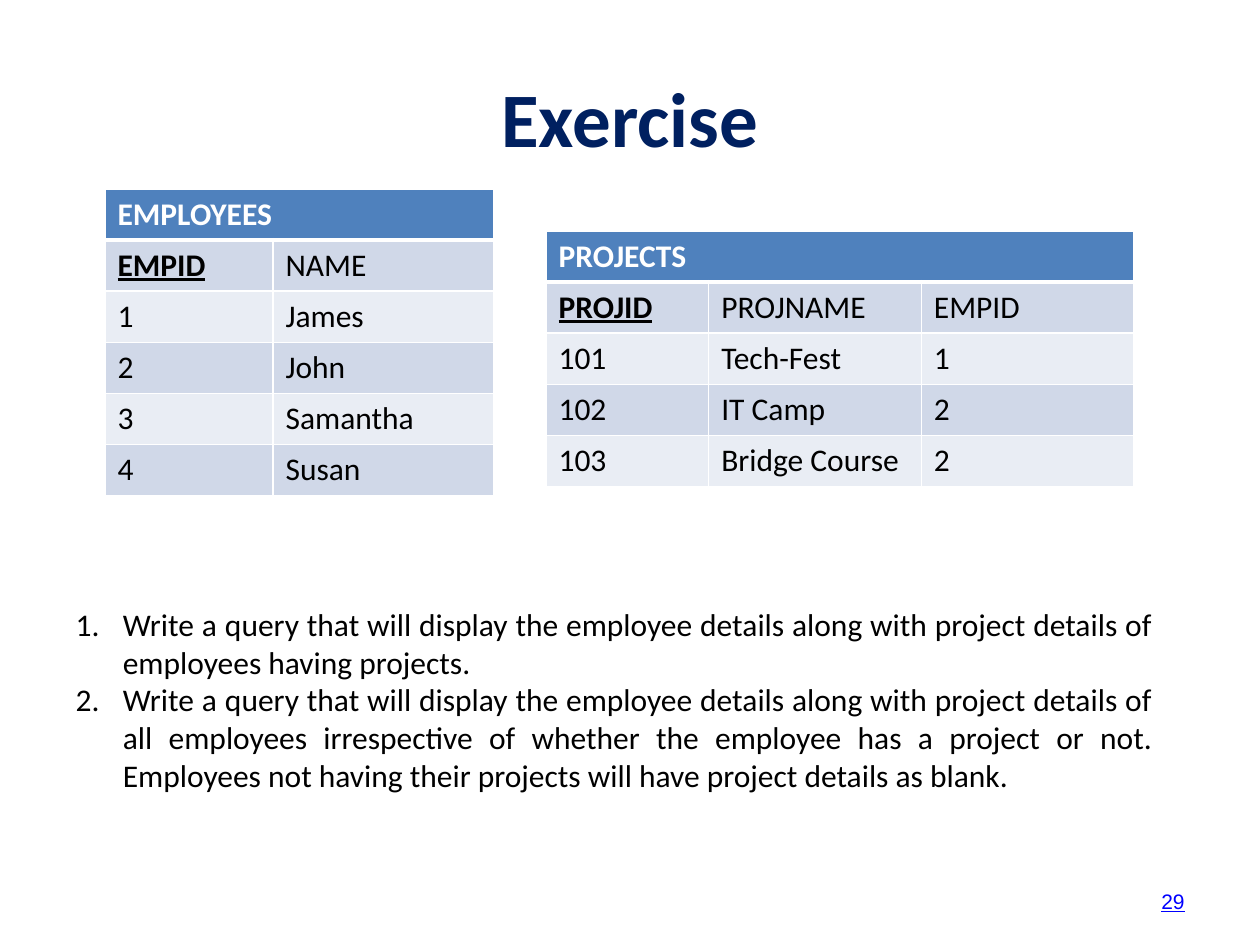
from lxml import etree
from pptx import Presentation
from pptx.dml import color
from pptx.enum import text
from pptx.oxml import ns
from pptx.util import Pt

ROW_HEIGHT = 29.2
HEADER_FILL = "4F81BD"
BAND_FILLS = ("E9EDF4", "D0D8E8")

EMPLOYEES = [
    ("EMPID", "NAME"),
    ("1", "James"),
    ("2", "John"),
    ("3", "Samantha"),
    ("4", "Susan"),
]
PROJECTS = [
    ("PROJID", "PROJNAME", "EMPID"),
    ("101", "Tech-Fest", "1"),
    ("102", "IT Camp", "2"),
    ("103", "Bridge Course", "2"),
]
TASKS = [
    "Write a query that will display the employee details along with project "
    "details of employees having projects.",
    "Write a query that will display the employee details along with project "
    "details of all employees irrespective of whether the employee has a project "
    "or not. Employees not having their projects will have project details as blank.",
]


def rgb(value):
    return color.RGBColor.from_string(value)


def place(shape, left, top, width, height):
    shape.left, shape.top = Pt(left), Pt(top)
    shape.width, shape.height = Pt(width), Pt(height)


def set_font(paragraph, size, fill, name="Calibri", bold=False, underline=False):
    font = paragraph.font
    font.size, font.name = Pt(size), name
    font.bold, font.underline = bold, underline
    font.color.rgb = rgb(fill)


def add_borders(cell, top, bottom):
    """Draw white cell borders; must run before the cell's fill is set."""
    properties = cell._tc.get_or_add_tcPr()
    for side, width in (("L", 1), ("R", 1), ("T", top), ("B", bottom)):
        line = etree.SubElement(properties, ns.qn(f"a:ln{side}"), w=str(Pt(width)))
        fill = etree.SubElement(line, ns.qn("a:solidFill"))
        etree.SubElement(fill, ns.qn("a:srgbClr"), val="FFFFFF")


def add_title(slide, title):
    shape = slide.shapes.title
    place(shape, 36, 21.6, 648, 90)
    shape.text_frame.text = title
    paragraph = shape.text_frame.paragraphs[0]
    paragraph.alignment = text.PP_ALIGN.CENTER
    set_font(paragraph, 44, "002060", bold=True)


def add_data_table(slide, left, top, column_widths, title, records):
    """Add a table with a merged title row, a row of field names and banded data."""
    columns = len(column_widths)
    rows = [(title,) + ("",) * (columns - 1)] + records
    table = slide.shapes.add_table(
        len(rows), columns, Pt(left), Pt(top),
        Pt(sum(column_widths)), Pt(ROW_HEIGHT * len(rows))).table
    for column, width in zip(table.columns, column_widths):
        column.width = Pt(width)
    for row, values in enumerate(rows):
        table.rows[row].height = Pt(ROW_HEIGHT)
        is_title = row == 0
        for column, value in enumerate(values):
            cell = table.cell(row, column)
            add_borders(cell, 3 if row == 1 else 1, 3 if is_title else 1)
            cell.fill.solid()
            cell.fill.fore_color.rgb = rgb(HEADER_FILL if is_title else BAND_FILLS[row % 2])
            cell.text = value
            is_key = row == 1 and column == 0
            set_font(cell.text_frame.paragraphs[0], 18,
                     "FFFFFF" if is_title else "000000",
                     bold=is_title or is_key, underline=is_key)
    table.cell(0, 0).merge(table.cell(0, columns - 1))


def add_numbered_list(slide, items):
    body = slide.placeholders[1]
    place(body, 36, 342, 630, 160)
    frame = body.text_frame
    frame.auto_size = text.MSO_AUTO_SIZE.NONE
    frame.text = "\n".join(items)
    for paragraph in frame.paragraphs:
        paragraph.alignment = text.PP_ALIGN.JUSTIFY
        paragraph.space_before = Pt(0)
        properties = paragraph._p.get_or_add_pPr()
        properties.set("marL", str(Pt(27)))
        properties.set("indent", str(Pt(-27)))
        etree.SubElement(properties, ns.qn("a:buFont"), typeface="+mj-lt")
        etree.SubElement(properties, ns.qn("a:buAutoNum"), type="arabicPeriod")
        set_font(paragraph, 18, "000000")


def add_page_number(slide, number):
    box = slide.shapes.add_textbox(Pt(516), Pt(500.4), Pt(168), Pt(28.8))
    frame = box.text_frame
    frame.word_wrap = True
    frame.vertical_anchor = text.MSO_ANCHOR.MIDDLE
    frame.text = number
    paragraph = frame.paragraphs[0]
    paragraph.alignment = text.PP_ALIGN.RIGHT
    set_font(paragraph, 12, "0000FF", name="Arial", underline=True)


def main():
    presentation = Presentation()
    presentation.slide_width, presentation.slide_height = Pt(720), Pt(540)
    slide = presentation.slides.add_slide(presentation.slide_layouts[1])
    add_title(slide, "Exercise")
    add_page_number(slide, "29")
    add_data_table(slide, 60, 108, (96, 126), "EMPLOYEES", EMPLOYEES)
    add_data_table(slide, 312, 132, (93, 121.5, 121.5), "PROJECTS", PROJECTS)
    add_numbered_list(slide, TASKS)
    presentation.save("out.pptx")


if __name__ == "__main__":
    main()
